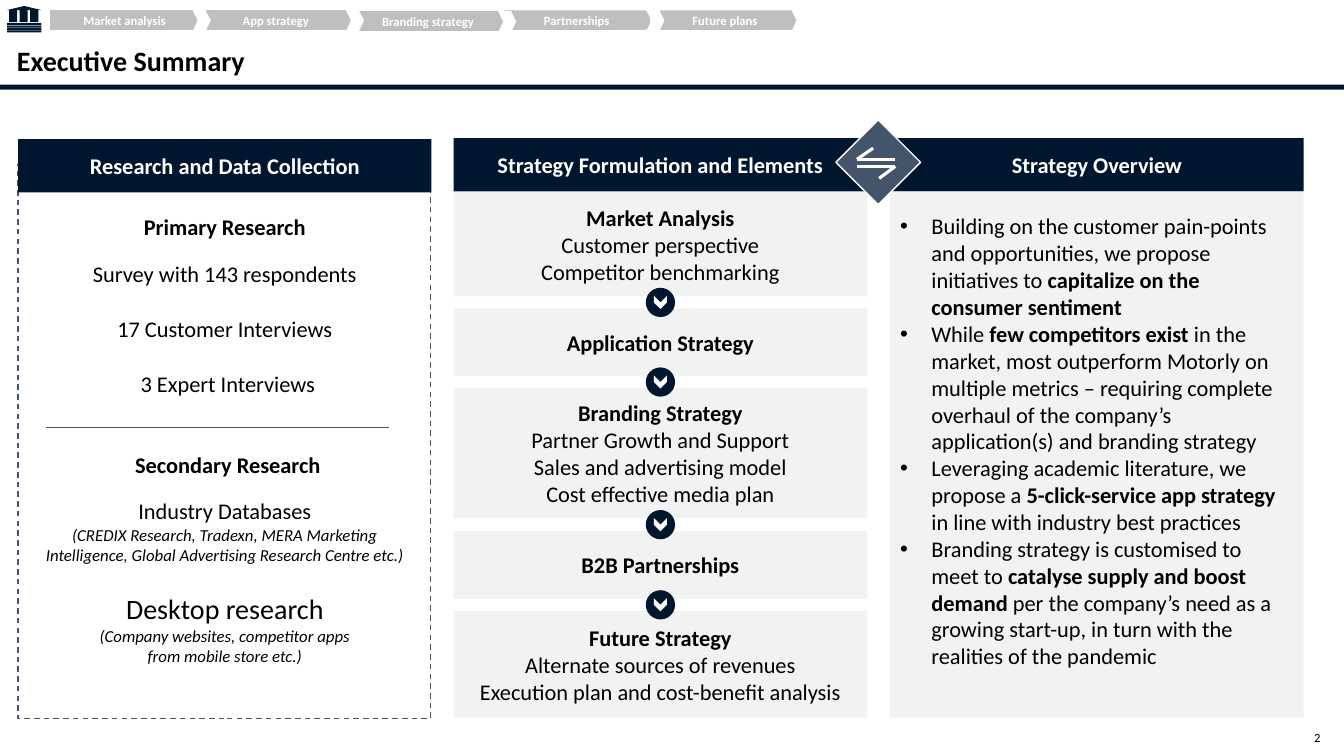
from lxml import etree
from pptx import Presentation
from pptx.dml.color import RGBColor
from pptx.enum.dml import MSO_LINE_DASH_STYLE as DASH
from pptx.enum.shapes import MSO_CONNECTOR, MSO_SHAPE as SHAPE
from pptx.enum.text import MSO_ANCHOR as ANCHOR, PP_ALIGN as ALIGN
from pptx.oxml.ns import qn
from pptx.util import Inches, Pt

COLORS = {"navy": "00162F", "slate": "44546A", "tab": "BFBFBF",
          "panel": "F2F2F2", "white": "FFFFFF", "black": "000000"}
COLORS = {name: RGBColor.from_string(value) for name, value in COLORS.items()}

presentation = Presentation()
presentation.slide_width = Inches(13.33)
presentation.slide_height = Inches(7.5)
slide = presentation.slides.add_slide(presentation.slide_layouts[6])


def add_box(kind, left, top, width, height, fill=None, line=None):
    """Add a flat preset shape, or a text box when kind is None."""
    place = [Inches(value) for value in (left, top, width, height)]
    if kind is None:
        return slide.shapes.add_textbox(*place)
    shape = slide.shapes.add_shape(kind, *place)
    shape.shadow.inherit = False
    for paint, color in ((shape.fill, fill), (shape.line.fill, line)):
        if color:
            paint.solid()
            paint.fore_color.rgb = COLORS[color]
        else:
            paint.background()
    if line:
        shape.line.width = Pt(1)
    return shape


def write(shape, paragraphs, color="black", align=ALIGN.CENTER,
          side=0.1, edge=0.05, bullet=False):
    """Fill a shape; each paragraph is a list of (text, size, style) runs."""
    frame = shape.text_frame
    frame.word_wrap = True
    frame.vertical_anchor = ANCHOR.MIDDLE
    frame.margin_left = frame.margin_right = Inches(side)
    frame.margin_top = frame.margin_bottom = Inches(edge)
    for index, runs in enumerate(paragraphs):
        paragraph = frame.add_paragraph() if index else frame.paragraphs[0]
        paragraph.alignment = align
        if bullet:
            properties = paragraph._p.get_or_add_pPr()
            properties.set("marL", str(Inches(0.31)))
            properties.set("indent", str(-Inches(0.31)))
            etree.SubElement(properties, qn("a:buFont")).set("typeface", "Arial")
            etree.SubElement(properties, qn("a:buChar")).set("char", "•")
        for text, size, style in runs:
            run = paragraph.add_run()
            run.text = text
            run.font.name = "Calibri"
            run.font.size = Pt(size)
            run.font.bold = style == "bold"
            run.font.italic = style == "italic"
            run.font.color.rgb = COLORS[color]
    return frame


# Title, rule and page number
research_frame = add_box(SHAPE.RECTANGLE, 0.18, 1.63, 4.09, 5.5, line="slate")
research_frame.line.dash_style = DASH.DASH
add_box(SHAPE.RECTANGLE, 0, 0.84, 13.33, 0.05, "navy")
write(add_box(None, 0.07, 0.38, 13.13, 0.44),
      [[("Executive Summary", 20, "bold")]], align=ALIGN.LEFT)
page_number = write(add_box(None, 12.93, 7.19, 0.27, 0.25), [[("2", 9, "")]])
page_number.word_wrap = False

# Building icon
for step in range(4):
    add_box(SHAPE.RECTANGLE, 0.07, 0.23 + step * 0.024, 0.34, 0.02, "navy")
for column in range(3):
    add_box(SHAPE.RECTANGLE, 0.09 + column * 0.105, 0.1, 0.08, 0.12, "navy")
add_box(SHAPE.ISOSCELES_TRIANGLE, 0.07, 0.06, 0.34, 0.04, "navy")

# Navigation tabs: upright bars turned a quarter, with the text turned back
tabs = [("Partnerships", 5.63, -0.55, 0.5), ("Branding strategy", 4.14, -0.54, 0),
        ("App strategy", 2.63, -0.55, 0), ("Market analysis", 1.13, -0.55, 0),
        ("Future plans", 7.1, -0.55, 0.5)]
for label, left, top, rounding in tabs:
    tab = add_box(SHAPE.ROUND_2_SAME_RECTANGLE, left, top, 0.21, 1.5, "tab", "white")
    tab.rotation = 90
    tab.adjustments[0] = rounding
    tab.adjustments[1] = 0
    frame = write(tab, [[(label, 9, "bold")]], "white", side=0, edge=0)
    frame._txBody.bodyPr.set("vert", "vert270")
for left, top in [(1.91, 0.1), (3.43, 0.1), (4.94, 0.11), (6.41, 0.1), (7.85, 0.1)]:
    divider = add_box(SHAPE.CHEVRON, left, top, 0.18, 0.21, "white")
    divider.adjustments[0] = 0.284

# Column headers
for label, left, top in [("Research and Data Collection", 0.18, 1.38),
                         ("Strategy Formulation and Elements", 4.5, 1.37),
                         ("Strategy Overview", 8.83, 1.37)]:
    write(add_box(SHAPE.RECTANGLE, left, top, 4.1, 0.53, "navy"),
          [[(label, 16, "bold")]], "white", side=0)

# Research column
for text, left, top, style in [("Primary Research", 0.36, 2.03, "bold"),
                               ("Survey with 143 respondents", 0.36, 2.5, ""),
                               ("17 Customer Interviews", 0.36, 3.04, ""),
                               ("3 Expert Interviews", 0.39, 3.59, ""),
                               ("Secondary Research", 0.39, 4.39, "bold")]:
    write(add_box(None, left, top, 3.74, 0.43), [[(text, 16, style)]], side=0)
sources = write(add_box(None, 0.36, 4.49, 3.74, 2.56), [
    [("Industry Databases", 16, "")],
    [("(CREDIX Research, Tradexn, MERA Marketing Intelligence, "
      "Global Advertising Research Centre etc.)", 12, "italic")],
    [("Desktop research", 20, "")],
    [("(Company websites, competitor apps", 12, "italic")],
    [("from mobile store etc.)", 12, "italic")]], side=0)
sources.paragraphs[2].space_before = Pt(19.5)

# Strategy steps, with an arrow badge centred on each gap
steps = [
    (1.91, 1.03, "Market Analysis", ["Customer perspective", "Competitor benchmarking"]),
    (3.06, 0.67, "Application Strategy", []),
    (3.85, 1.29, "Branding Strategy", ["Partner Growth and Support",
                                       "Sales and advertising model",
                                       "Cost effective media plan"]),
    (5.27, 0.67, "B2B Partnerships", []),
    (6.06, 1.06, "Future Strategy", ["Alternate sources of revenues",
                                     "Execution plan and cost-benefit analysis"])]
for top, height, heading, details in steps:
    write(add_box(SHAPE.RECTANGLE, 4.5, top, 4.1, height, "panel"),
          [[(heading, 16, "bold")]] + [[(detail, 16, "")] for detail in details])
for (top, height, *_), (next_top, *_) in zip(steps, steps[1:]):
    middle = (top + height + next_top) / 2
    for kind, size, color in [(SHAPE.OVAL, 0.29, "navy"), (SHAPE.CHEVRON, 0.13, "white")]:
        badge = add_box(kind, 6.55 - size / 2, middle - size / 2, size, size, color)
        badge.rotation = 90 if kind == SHAPE.CHEVRON else 0

# Strategy overview
overview = write(add_box(SHAPE.RECTANGLE, 8.83, 1.9, 4.1, 5.22, "panel"), [
    [("Building on the customer pain-points and opportunities, we propose "
      "initiatives to ", 16, ""),
     ("capitalize on the consumer sentiment", 16, "bold")],
    [("While ", 16, ""), ("few competitors exist ", 16, "bold"),
     ("in the market, most outperform Motorly on multiple metrics – requiring complete "
      "overhaul of the company’s application(s) and branding strategy", 16, "")],
    [("Leveraging academic literature, we propose a ", 16, ""),
     ("5-click-service app strategy ", 16, "bold"),
     ("in line with industry best practices", 16, "")],
    [("Branding strategy is customised to meet to ", 16, ""),
     ("catalyse supply and boost demand ", 16, "bold"),
     ("per the company’s need as a growing start-up, in turn with the realities "
      "of the pandemic", 16, "")]], align=ALIGN.LEFT, bullet=True)
overview.margin_bottom = Inches(0.32)

# Exchange diamond and the research divider
add_box(SHAPE.DIAMOND, 8.29, 1.19, 0.84, 0.84, "slate", "white")
for x1, y1, x2, y2, color, width in [(0.46, 4.24, 3.86, 4.24, "slate", 0.5),
                                     (8.5, 1.58, 8.88, 1.58, "white", 2.25),
                                     (8.5, 1.58, 8.66, 1.47, "white", 2.25),
                                     (8.5, 1.65, 8.88, 1.65, "white", 2.25),
                                     (8.72, 1.77, 8.88, 1.65, "white", 2.25)]:
    connector = slide.shapes.add_connector(
        MSO_CONNECTOR.STRAIGHT, Inches(x1), Inches(y1), Inches(x2), Inches(y2))
    connector.line.color.rgb = COLORS[color]
    connector.line.width = Pt(width)
    etree.SubElement(connector._element.spPr, qn("a:effectLst"))

presentation.save("out.pptx")
